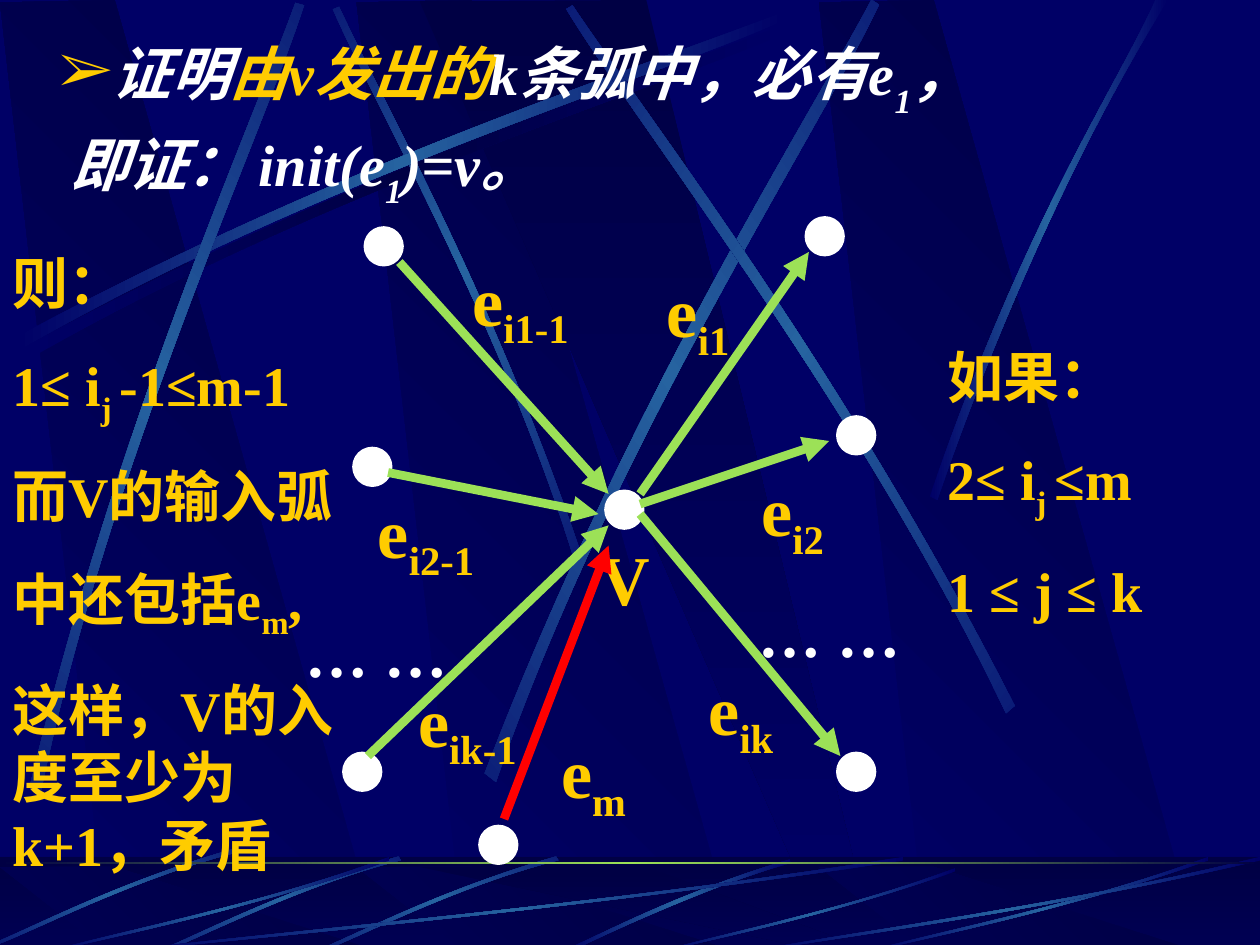
"""Builds the slide proving that init(e1) equals v in the arc diagram."""
import math
from dataclasses import dataclass
from typing import Optional

import lxml.etree
import pptx
import pptx.dml.color
import pptx.enum.shapes
import pptx.enum.text
import pptx.oxml.ns
import pptx.util

Inches = pptx.util.Inches
Pt = pptx.util.Pt
qn = pptx.oxml.ns.qn


@dataclass(frozen=True)
class Theme:
    navy: str = "000066"
    dark: str = "000044"
    steel: str = "2663A0"
    green: str = "9CE157"
    red: str = "FF0000"
    gold: str = "FFCC00"
    white: str = "FFFFFF"
    latin: str = "Times New Roman"
    asian: str = "Noto Sans CJK SC"
    title_size: float = 33.3
    label_size: float = 40
    note_size: float = 32
    dots_size: float = 36
    stroke: float = 5


@dataclass(frozen=True)
class Span:
    text: str
    color: str
    base: int = 0


@dataclass(frozen=True)
class Label:
    left: float
    top: float
    index: str
    letter: str = "e"


@dataclass(frozen=True)
class Arc:
    start: tuple
    end: tuple
    color: str


@dataclass(frozen=True)
class Streak:
    outline: tuple
    angle: float = 0
    center: tuple = (0, 0)


THEME = Theme()
BEAM = ((0.86, 7.5), (3.02, 7.52), (0.91, 0), (0, 0.02))
WIDE_BEAM = ((3.33, 0.01), (6.58, 7.51), (6.94, 7.51), (5.13, 0))
GLOW = (THEME.navy, THEME.steel, THEME.navy)
SHADE = (THEME.navy, THEME.dark, THEME.navy)
ARCH = ((0.14, 2.67), (2.78, 1.25), (5.18, 0.51), (6.2, 0.1),
        (6.23, 0.16), (5.22, 0.61), (2.48, 1.43), (0.17, 2.77))
STREAKS = (
    Streak(((4.6, 4.36), (3.91, 2.34), (3.02, 0.77), (2.69, 0.05),
            (2.64, 0.07), (2.95, 0.79), (3.98, 2.58), (4.54, 4.39)), 45, (3.62, 2.22)),
    Streak(ARCH),
    Streak(((0.23, 6.25), (0.93, 3.34), (1.97, 1.05), (2.34, 0.02),
            (2.41, 0.04), (2.07, 1.09), (0.86, 3.68), (0.32, 6.29)), 311.7, (1.33, 3.16)),
    Streak(((3.85, 6.14), (4.98, 3.2), (6.38, 1.02), (6.92, 0),
            (6.98, 0.04), (6.49, 1.08), (4.86, 3.55), (3.94, 6.21)), 321.6, (5.43, 3.1)),
    Streak(((8.06, 5.6), (6.7, 2.93), (5.16, 0.95), (4.55, 0.04),
            (4.5, 0.07), (5.07, 1.01), (6.85, 3.25), (7.99, 5.66)), 34.8, (6.27, 2.86)),
    Streak(((7.38, 3.94), (8.14, 1.73), (8.88, 0.66), (9.17, 0),
            (9.27, 0), (8.36, 1.45), (7.69, 3.22), (7.44, 3.97))),
)
FLOOR_STREAK = ((6.27, 6.82), (5.37, 7.09), (4.77, 7.42), (4.48, 7.54),
                (4.53, 7.55), (4.9, 7.37), (5.71, 7), (6.28, 6.85))
FAN = ((4.42, 6.8), (3.55, 7.05), (2.87, 7.4), (2.56, 7.53),
       (2.57, 7.55), (2.88, 7.43), (3.65, 7.03), (4.44, 6.83))
FAN_SHIFTS = ((0, 0), (-1.25, 0), (-2.56, -0.06))
SWEEP = ((1, 0.04), (0.57, 0.57), (0.17, 0.85), (0, 1),
         (0, 0.99), (0.17, 0.81), (0.62, 0.51), (1, 0))
SWEEP_BOXES = ((1, 6.8, 6.17, 0.75), (0.42, 6.8, 2.67, 0.75), (5.27, 6.89, 2.31, 0.66),
               (6.92, 6.8, 2.67, 0.75), (6, 6.8, 4, 0.75))
NODES = ((4.83, 3.92), (2.83, 3.58), (2.92, 1.83), (6.67, 6), (6.67, 3.33),
         (6.42, 1.75), (2.75, 6), (3.83, 6.58))
ARCS = (
    Arc((3.17, 2.08), (4.83, 3.92), THEME.green), Arc((3.08, 3.75), (4.75, 4.08), THEME.green),
    Arc((2.92, 6), (4.83, 4.17), THEME.green), Arc((5.08, 3.92), (6.42, 2), THEME.green),
    Arc((5.08, 4), (6.58, 3.5), THEME.green), Arc((5.08, 4.08), (6.67, 6), THEME.green),
    Arc((4, 6.5), (4.83, 4.33), THEME.red),
)
VERTEX = Label(4.5, 4.25, "", "V")
LABELS = (
    Label(3.25, 5.42, "ik-1"), Label(2.92, 3.92, "i2-1"), Label(3.67, 2.08, "i1-1"),
    Label(5.42, 5.33, "ik"), Label(5.83, 3.75, "i2"), Label(5.08, 2.17, "i1"),
    Label(4.25, 5.83, "m"),
)


def rgb(color: str) -> pptx.dml.color.RGBColor:
    return pptx.dml.color.RGBColor.from_string(color)


def move(points: tuple, left: float, top: float, wide: float = 1, high: float = 1) -> tuple:
    return tuple((left + x * wide, top + y * high) for x, y in points)


def turn(points: tuple, angle: float, center: tuple) -> tuple:
    cosine, sine = math.cos(math.radians(angle)), math.sin(math.radians(angle))
    arms = move(points, -center[0], -center[1])
    return move(tuple((x * cosine - y * sine, x * sine + y * cosine) for x, y in arms), *center)


def paint(shape, colors: tuple, angle: float) -> None:
    shape.shadow.inherit = False
    shape.line.fill.background()
    shape.fill.gradient()
    shape.fill.gradient_angle = (360 - angle) % 360
    stops = shape._element.spPr.find(qn("a:gradFill")).find(qn("a:gsLst"))
    for stop in list(stops):
        stops.remove(stop)
    for index, color in enumerate(colors):
        place = str(100000 * index // (len(colors) - 1))
        stop = lxml.etree.SubElement(stops, qn("a:gs"), pos=place)
        lxml.etree.SubElement(stop, qn("a:srgbClr"), val=color)


def draw_outline(page, points: tuple, colors: tuple, angle: float):
    corners = [(Inches(x), Inches(y)) for x, y in points]
    builder = page.shapes.build_freeform(*corners[0])
    builder.add_line_segments(corners[1:], close=True)
    shape = builder.convert_to_shape()
    paint(shape, colors, angle)
    return shape


def draw_streak(page, streak: Streak, colors: tuple = GLOW) -> None:
    shape = draw_outline(page, turn(streak.outline, -streak.angle, streak.center), colors, 0)
    shape.rotation = streak.angle
    sides = list(shape._element.spPr.iter(qn("a:lnTo")))
    for first, second, third in (sides[:3], sides[4:7]):
        bend = lxml.etree.Element(qn("a:cubicBezTo"))
        first.addprevious(bend)
        for side in (first, second, third):
            bend.append(side[0])
            side.getparent().remove(side)


def draw_beams(page, top: float, scale: float) -> None:
    for left in (2.83, 0, 6.5):
        draw_outline(page, move(BEAM, left, top, 1, scale), (THEME.navy, THEME.dark), 315)
    draw_outline(page, move(WIDE_BEAM, 0, top, 1, scale), (THEME.dark, THEME.navy), 90)


def add_band(page, top: float, height: float):
    return page.shapes.add_shape(pptx.enum.shapes.MSO_SHAPE.RECTANGLE,
                                 Inches(0), Inches(top), Inches(10), Inches(height))


def draw_backdrop(page) -> None:
    page.background.fill.solid()
    page.background.fill.fore_color.rgb = rgb(THEME.navy)
    draw_beams(page, 0, 1)
    draw_streak(page, Streak(move(ARCH, 0.06, 0.08)), SHADE)
    for streak in STREAKS:
        draw_streak(page, streak)
    paint(add_band(page, 6.8, 0.75), (THEME.dark, THEME.navy), 90)
    draw_beams(page, 6.88, 0.09)
    veil = add_band(page, 6.8, 0.75)
    veil.shadow.inherit = False
    veil.line.fill.background()
    veil.fill.solid()
    veil.fill.fore_color.rgb = rgb(THEME.dark)
    tint = veil._element.spPr.find(qn("a:solidFill"))[0]
    lxml.etree.SubElement(tint, qn("a:alpha"), val="50000")
    draw_streak(page, Streak(FLOOR_STREAK))
    for across, down in FAN_SHIFTS:
        draw_streak(page, Streak(move(FAN, across, down), 314.9, (3.5 + across, 7.17 + down)))
    for box in SWEEP_BOXES:
        draw_streak(page, Streak(move(SWEEP, *box)))
    paint(add_band(page, 6.84, 0.02), (THEME.dark, THEME.green, THEME.dark), 0)


def add_text(page, area: tuple, lines: list, size: float, gap: float = 0,
             italic: Optional[bool] = None):
    frame = page.shapes.add_textbox(*map(Inches, area)).text_frame
    frame.word_wrap = True
    for number, spans in enumerate(lines):
        para = frame.add_paragraph() if number else frame.paragraphs[0]
        if number:
            para.space_before = Pt(gap)
        for span in spans:
            run = para.add_run()
            run.text = span.text
            run.font.size, run.font.bold, run.font.italic = Pt(size), True, italic
            run.font.color.rgb = rgb(span.color)
            run.font.name = THEME.latin
            marks = run._r.get_or_add_rPr()
            lxml.etree.SubElement(marks, qn("a:ea"), typeface=THEME.asian)
            if span.base:
                marks.set("baseline", str(span.base * 1000))
    return frame


def draw_title(page) -> None:
    white, gold = THEME.white, THEME.gold
    lines = [[Span("证明", white), Span("由v发出的", gold), Span("k条弧中，必有e", white),
              Span("1", white, -30), Span("，", white)],
             [Span("即证： init(e", white), Span("1", white, -30), Span(")=v。", white)]]
    frame = add_text(page, (0.25, 0.25, 9.58, 1.58), lines, THEME.title_size, 9, True)
    for para, margin, indent in zip(frame.paragraphs, (0.5, 0.21), (-0.38, 0)):
        para.line_spacing = 0.9
        marks = para._p.get_or_add_pPr()
        marks.set("marL", str(Inches(margin)))
        marks.set("indent", str(Inches(indent)))
    marks = frame.paragraphs[0]._p.get_or_add_pPr()
    tint = lxml.etree.SubElement(marks, qn("a:buClr"))
    lxml.etree.SubElement(tint, qn("a:srgbClr"), val=gold)
    lxml.etree.SubElement(marks, qn("a:buFont"), typeface=THEME.latin)
    lxml.etree.SubElement(marks, qn("a:buChar"), char="➢")


def draw_node(page, left: float, top: float) -> None:
    node = page.shapes.add_shape(pptx.enum.shapes.MSO_SHAPE.OVAL, Inches(left), Inches(top),
                                 Inches(0.25), Inches(0.25))
    node.shadow.inherit = False
    node.fill.solid()
    node.fill.fore_color.rgb = node.line.color.rgb = rgb(THEME.white)
    node.line.width = Pt(THEME.stroke)


def draw_arc(page, arc: Arc) -> None:
    line = page.shapes.add_connector(pptx.enum.shapes.MSO_CONNECTOR.STRAIGHT,
                                     *map(Inches, arc.start + arc.end))
    line.line.color.rgb = rgb(arc.color)
    line.line.width = Pt(THEME.stroke)
    lxml.etree.SubElement(line.line._get_or_add_ln(), qn("a:tailEnd"), type="triangle")
    lxml.etree.SubElement(line._element.spPr, qn("a:effectLst"))


def draw_label(page, label: Label) -> None:
    spans = [Span(label.letter, THEME.gold)]
    if label.index:
        spans.append(Span(label.index, THEME.gold, -25))
    frame = add_text(page, (label.left, label.top, 0.92, 0.67), [spans], THEME.label_size)
    frame.margin_left = frame.margin_right = Inches(0)
    frame.vertical_anchor = pptx.enum.text.MSO_ANCHOR.MIDDLE
    frame.paragraphs[0].alignment = pptx.enum.text.PP_ALIGN.CENTER


def draw_notes(page) -> None:
    gold = THEME.gold
    index = Span("j ", gold, -25)
    condition = [[Span("如果：", gold)], [Span("2≤ i", gold), index, Span("≤m", gold)],
                 [Span("1 ≤ j ≤ k", gold)]]
    result = [[Span("则：", gold)], [Span("1≤ i", gold), index, Span("-1≤m-1", gold)],
              [Span("而V的输入弧", gold)],
              [Span("中还包括e", gold), Span("m", gold, -25), Span(",", gold)],
              [Span("这样，V的入度至少为k+1，矛盾", gold)]]
    add_text(page, (7.42, 2.67, 2.58, 2.33), condition, THEME.note_size, 20)
    add_text(page, (0, 1.92, 2.83, 5.63), result, THEME.note_size, 20)


def main() -> None:
    deck = pptx.Presentation()
    deck.slide_width, deck.slide_height = Inches(10), Inches(7.5)
    page = deck.slides.add_slide(deck.slide_layouts[6])
    draw_backdrop(page)
    draw_title(page)
    for node in NODES:
        draw_node(page, *node)
    for left, top in ((2.33, 4.83), (5.92, 4.67)):
        add_text(page, (left, top, 1.5, 0.7), [[Span("… …", THEME.white)]], THEME.dots_size)
    draw_label(page, VERTEX)
    for arc in ARCS:
        draw_arc(page, arc)
    for label in LABELS:
        draw_label(page, label)
    draw_notes(page)
    deck.save("out.pptx")


if __name__ == "__main__":
    main()
